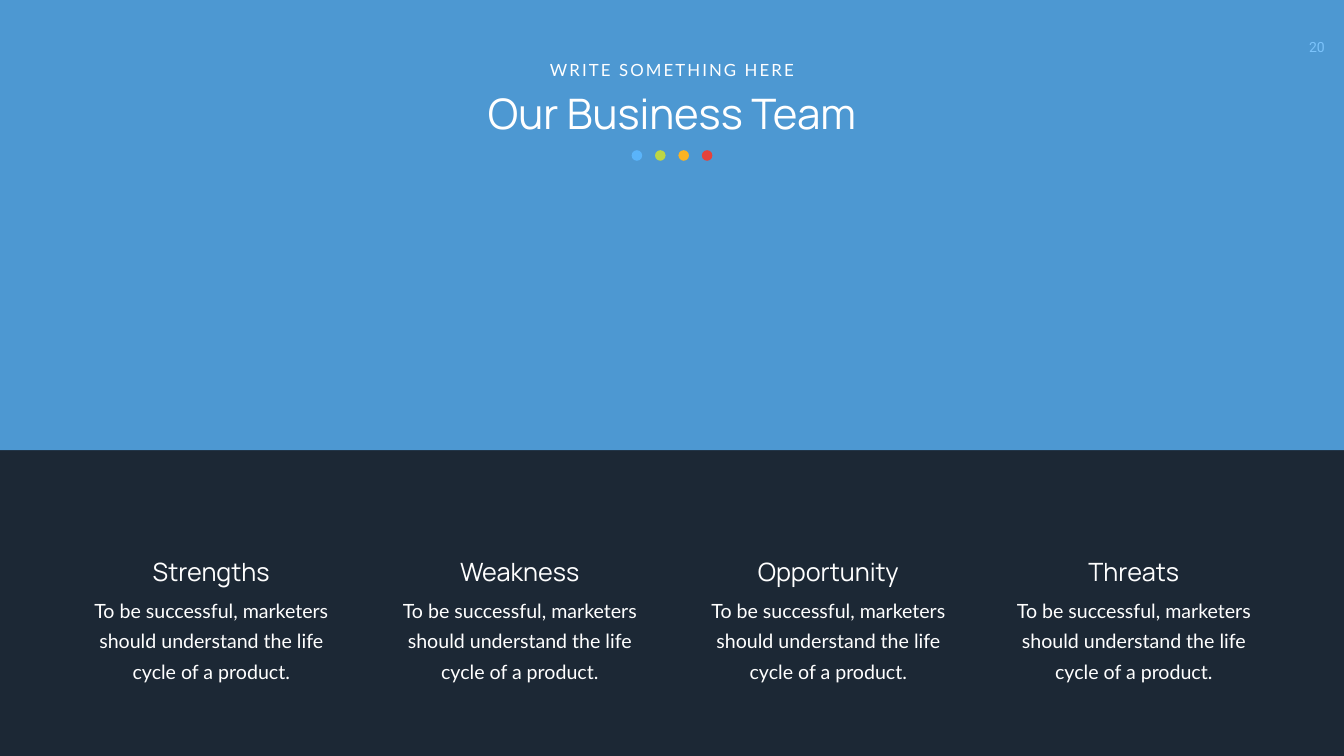
"""Build the business team slide with its four SWOT columns."""
from dataclasses import dataclass

from pptx import Presentation
from pptx.dml.color import RGBColor
from pptx.enum.shapes import MSO_SHAPE as Shape
from pptx.enum.text import MSO_ANCHOR as Anchor, MSO_AUTO_SIZE as AutoSize, PP_ALIGN as Align
from pptx.oxml.ns import qn
from pptx.util import Pt
from lxml.etree import SubElement

PAGE_NUMBER = "20"
TAGLINE = "WRITE SOMETHING HERE"
TITLE = "Our Business Team"
SUMMARY = "To be successful, marketers should understand the life cycle of a product."
COLUMNS = [("Strengths", 126), ("Weakness", 566.64), ("Opportunity", 1007.28), ("Threats", 1443.6)]


@dataclass(frozen=True)
class Theme:
    """Colours, fonts and type sizes."""
    ground: str = "1C2835"
    band: str = "5AB4FA"
    text: str = "FFFFFF"
    dots: tuple = ("5AB4FA", "BDD645", "FAB323", "E5423B")
    number: tuple = ("Roboto", 20)
    tagline: tuple = ("Lato", 24)
    title: tuple = ("Manrope", 60)
    heading: tuple = ("Manrope", 36)
    body: tuple = ("Lato", 28)
    body_leading: int = 43


THEME = Theme()
WIDTH, HEIGHT, BAND_HEIGHT = 1919.52, 1080, 643
DOT_SIZE, DOT_PITCH, DOT_TOP = 15.12, 33.4, 214.56
COLUMN_WIDTH = 351.36


def write(box, text, style, leading=None, wrap=True):
    """Fill a box with one centred paragraph."""
    frame = box.text_frame
    frame.text = text
    frame.word_wrap = wrap
    frame.auto_size = AutoSize.SHAPE_TO_FIT_TEXT
    frame.vertical_anchor = Anchor.TOP
    para = frame.paragraphs[0]
    para.alignment = Align.CENTER
    if leading:
        para.line_spacing = Pt(leading)
    para.font.name, para.font.size = style[0], Pt(style[1])
    para.font.color.rgb = RGBColor.from_string(THEME.text)
    return box


def add_text(page, place, *args, **options):
    """Add a text box at a place given in points."""
    return write(page.shapes.add_textbox(*map(Pt, place)), *args, **options)


def add_filled(page, kind, place, color):
    """Add a borderless filled shape."""
    shape = page.shapes.add_shape(kind, *map(Pt, place))
    shape.shadow.inherit = False
    shape.fill.solid()
    shape.fill.fore_color.rgb = RGBColor.from_string(color)
    shape.line.fill.background()
    return shape


def main():
    """Compose and save the slide."""
    deck = Presentation()
    deck.slide_width, deck.slide_height = Pt(WIDTH), Pt(HEIGHT)
    page = deck.slides.add_slide(deck.slide_layouts[5])
    page.background.fill.solid()
    page.background.fill.fore_color.rgb = RGBColor.from_string(THEME.ground)

    number = add_text(page, (1844.6, 48.24, 72.72, 38.88), PAGE_NUMBER, THEME.number)
    number.text_frame.margin_top = Pt(7.2)
    band = add_filled(page, Shape.RECTANGLE, (0, 0, WIDTH, BAND_HEIGHT), THEME.band)
    color = next(band.element.iter(qn("a:srgbClr")))
    SubElement(color, qn("a:alpha")).set("val", "80000")

    title = page.shapes.title
    title.left, title.top, title.width, title.height = map(Pt, (381.6, 120.96, 1156.32, 79.92))
    write(title, TITLE, THEME.title)
    for behind in (number, band):
        title.element.addprevious(behind.element)

    tagline = add_text(page, (774.72, 81.36, 370.08, 36), TAGLINE, THEME.tagline, wrap=False)
    next(tagline.element.iter(qn("a:defRPr"))).set("spc", "300")

    row_width = DOT_PITCH * (len(THEME.dots) - 1) + DOT_SIZE
    for index, dot in enumerate(THEME.dots):
        left = (WIDTH - row_width) / 2 + index * DOT_PITCH
        add_filled(page, Shape.OVAL, (left, DOT_TOP, DOT_SIZE, DOT_SIZE), dot)

    for heading, left in COLUMNS:
        add_text(page, (left, 790.56, COLUMN_WIDTH, 51.12), heading, THEME.heading)
        add_text(page, (left, 843.12, COLUMN_WIDTH, 132.48), SUMMARY, THEME.body, THEME.body_leading)

    deck.save("out.pptx")


if __name__ == "__main__":
    main()
